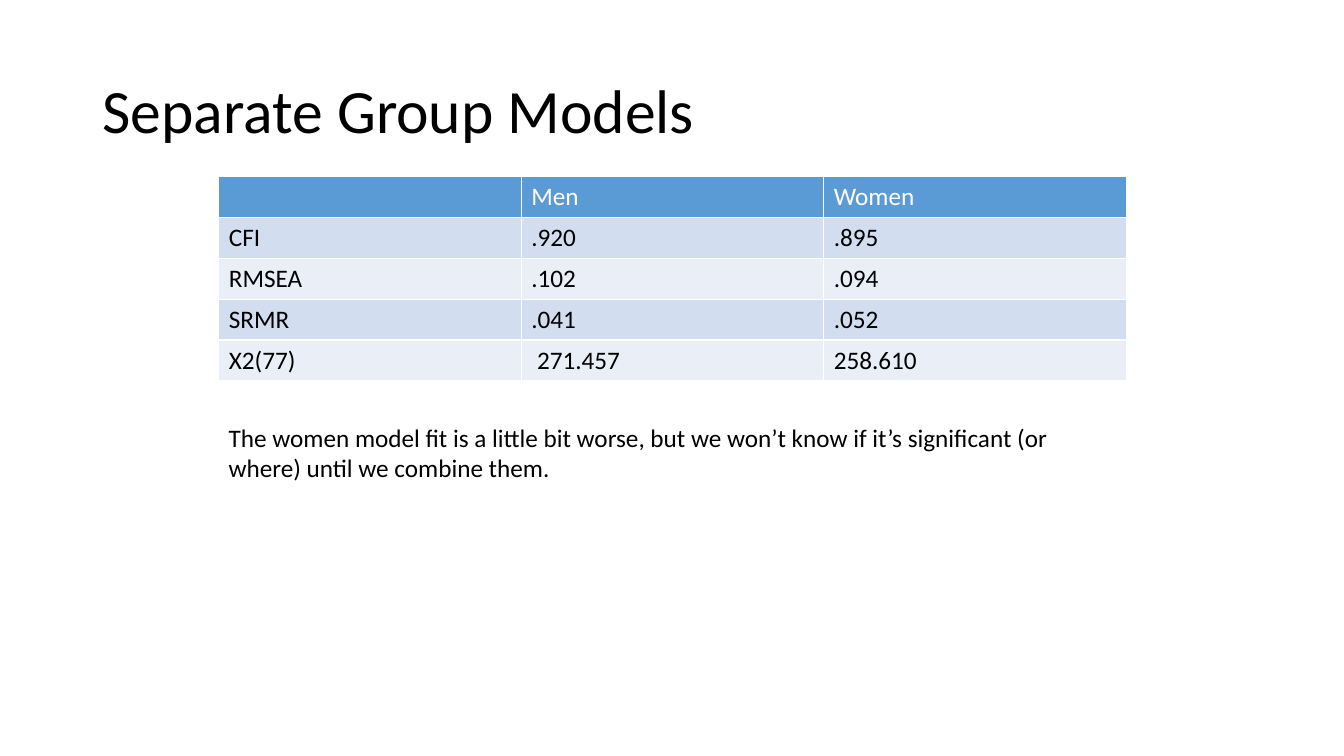
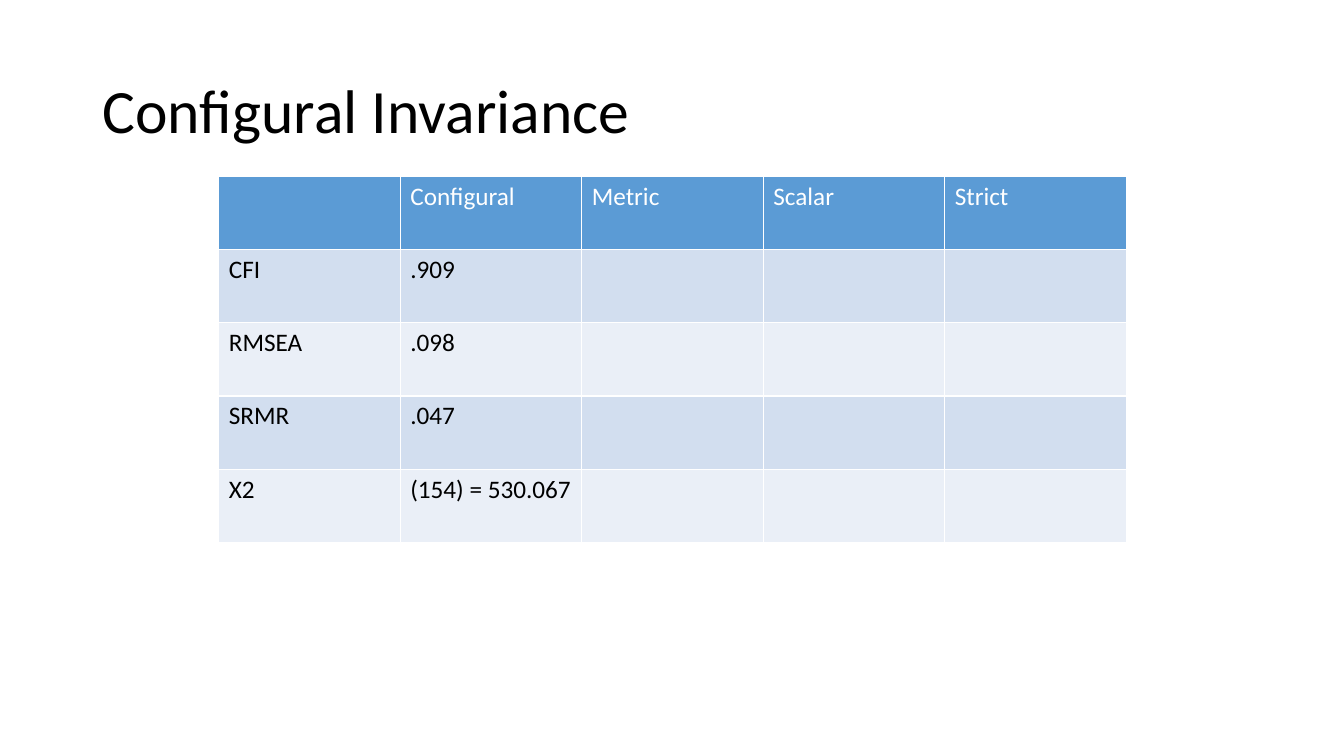
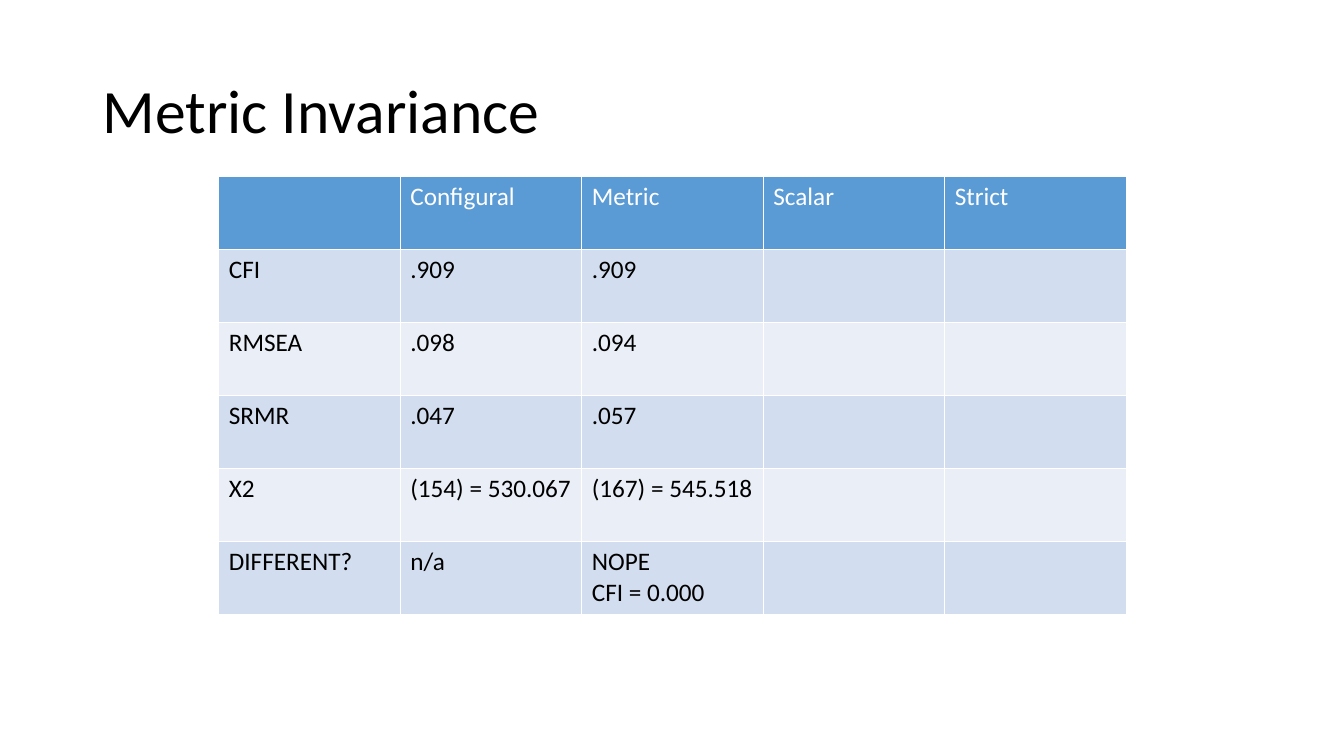
"""Build three slides of model-fit tables for group invariance testing."""
from lxml.etree import SubElement
from pptx import Presentation
from pptx.dml.color import RGBColor
from pptx.enum.text import MSO_ANCHOR as Anchor
from pptx.oxml.ns import qn
from pptx.util import Inches, Pt

FONT = "Calibri"
BLACK, WHITE = "000000", "FFFFFF"
HEADER, BANDS = "5B9BD5", ("D2DEEF", "EAEFF7")
TABLE_LEFT, TABLE_TOP, TABLE_WIDTH = 2.17, 1.75, 9
STAGES = ["", "Configural", "Metric", "Scalar", "Strict"]

SLIDES = [
    ("Separate Group Models", 2.03, [
        ["", "Men", "Women"],
        ["CFI", ".920", ".895"],
        ["RMSEA", ".102", ".094"],
        ["SRMR", ".041", ".052"],
        ["X2(77)", " 271.457", "258.610"],
    ], "The women model fit is a little bit worse, but we won’t know if it’s "
       "significant (or where) until we combine them."),
    ("Configural Invariance", 3.63, [
        STAGES,
        ["CFI", ".909", "", "", ""],
        ["RMSEA", ".098", "", "", ""],
        ["SRMR", ".047", "", "", ""],
        ["X2", "(154) = 530.067", "", "", ""],
    ], None),
    ("Metric Invariance", 4.35, [
        STAGES,
        ["CFI", ".909", ".909", "", ""],
        ["RMSEA", ".098", ".094", "", ""],
        ["SRMR", ".047", ".057", "", ""],
        ["X2", "(154) = 530.067", "(167) = 545.518", "", ""],
        ["DIFFERENT?", "n/a", "NOPE\nCFI = 0.000", "", ""],
    ], None),
]


def write(frame, text, size=18, color=BLACK, spacing=None, anchor=Anchor.TOP):
    """Write one paragraph per line of text, all in the same format."""
    frame.word_wrap = True
    frame.vertical_anchor = anchor
    for index, line in enumerate(text.split("\n")):
        para = frame.add_paragraph() if index else frame.paragraphs[0]
        para.line_spacing = spacing
        if line:
            span = para.add_run()
            span.text = line
            span.font.name = FONT
            span.font.size = Pt(size)
            span.font.color.rgb = RGBColor.from_string(color)


def paint_cell(cell, fill):
    """Give a cell thin white borders and a solid fill."""
    properties = cell._tc.get_or_add_tcPr()
    for side in ("a:lnL", "a:lnR", "a:lnT", "a:lnB"):
        line = SubElement(properties, qn(side), w=str(Pt(1)))
        solid = SubElement(line, qn("a:solidFill"))
        SubElement(solid, qn("a:srgbClr"), val=WHITE)
    cell.fill.solid()
    cell.fill.fore_color.rgb = RGBColor.from_string(fill)


deck = Presentation()
deck.slide_width, deck.slide_height = Inches(13.33), Inches(7.5)

for title, height, rows, remark in SLIDES:
    page = deck.slides.add_slide(deck.slide_layouts[6])
    box = page.shapes.add_textbox(Inches(0.92), Inches(0.4), Inches(11.5), Inches(1.45))
    write(box.text_frame, title, size=44, spacing=0.9, anchor=Anchor.MIDDLE)

    table = page.shapes.add_table(
        len(rows), len(rows[0]), Inches(TABLE_LEFT), Inches(TABLE_TOP),
        Inches(TABLE_WIDTH), Inches(height)).table
    for row, texts in enumerate(rows):
        for column, text in enumerate(texts):
            cell = table.cell(row, column)
            paint_cell(cell, BANDS[(row - 1) % 2] if row else HEADER)
            write(cell.text_frame, text, color=BLACK if row else WHITE)

    if remark:
        box = page.shapes.add_textbox(
            Inches(TABLE_LEFT), Inches(4.14), Inches(8.63), Inches(0.71))
        write(box.text_frame, remark)

deck.save("out.pptx")
